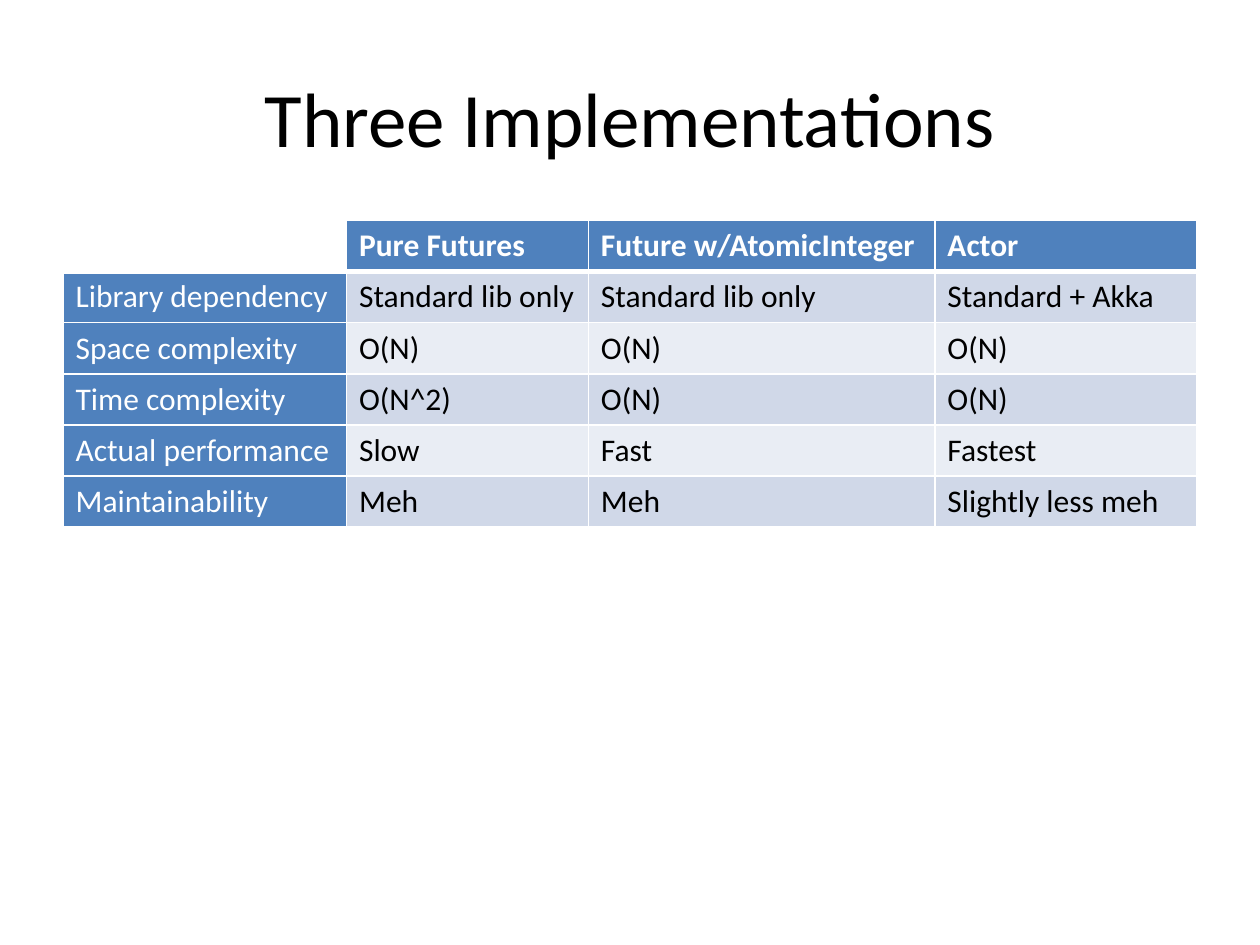
from dataclasses import dataclass

from lxml import etree
from pptx import Presentation
from pptx.dml.color import RGBColor
from pptx.enum import text
from pptx.oxml import ns
from pptx.util import Inches, Pt


@dataclass(frozen=True)
class Theme:
    """Colours, font and type sizes of the slide."""
    font: str = "Calibri"
    head: str = "4F81BD"
    bands: tuple = ("D0D8E8", "E9EDF4")
    dark: str = "000000"
    light: str = "FFFFFF"
    title: int = 44
    body: int = 18
    thin: int = 1
    thick: int = 3


THEME = Theme()
WIDTHS = (2.25, 1.92, 2.75, 2.08)
ROWS = (
    ("", "Pure Futures", "Future w/AtomicInteger", "Actor"),
    ("Library dependency", "Standard lib only", "Standard lib only", "Standard + Akka"),
    ("Space complexity", "O(N)", "O(N)", "O(N)"),
    ("Time complexity", "O(N^2)", "O(N)", "O(N)"),
    ("Actual performance", "Slow", "Fast", "Fastest"),
    ("Maintainability", "Meh", "Meh", "Slightly less meh"),
)


def style(para, size, color, bold=False):
    """Format the font of a paragraph's runs."""
    look = {"name": THEME.font, "size": Pt(size), "bold": bold}
    for run in para.runs:
        for key, value in look.items():
            setattr(run.font, key, value)
        run.font.color.rgb = RGBColor.from_string(color)


def edge(cell, side, width):
    """Draw one border of a cell."""
    props = cell._tc.get_or_add_tcPr()
    line = etree.SubElement(props, ns.qn(f"a:ln{side}"), w=str(Pt(width)))
    fill = etree.SubElement(line, ns.qn("a:solidFill"))
    etree.SubElement(fill, ns.qn("a:srgbClr"), val=THEME.light)


def paint(cell, row, col):
    """Give a cell its borders, fill and font by its place in the grid."""
    heavy = {0: "B", 1: "T"}.get(row)
    for side in "LRTB":
        edge(cell, side, THEME.thick if side == heavy else THEME.thin)
    label = row == 0 or col == 0
    if row == col == 0:
        cell.fill.background()
    else:
        tint = THEME.head if label else THEME.bands[(row - 1) % 2]
        cell.fill.solid()
        cell.fill.fore_color.rgb = RGBColor.from_string(tint)
    color = THEME.light if label else THEME.dark
    style(cell.text_frame.paragraphs[0], THEME.body, color, row == 0)


def add_title(slide, box, words):
    """Place and format the title in its box."""
    title = slide.shapes.title
    for key, value in zip(("left", "top", "width", "height"), box):
        setattr(title, key, Inches(value))
    frame = title.text_frame
    frame.text = words
    frame.vertical_anchor = text.MSO_ANCHOR.MIDDLE
    para = frame.paragraphs[0]
    para.alignment = text.PP_ALIGN.CENTER
    style(para, THEME.title, THEME.dark)


def add_grid(slide, box, rows, widths):
    """Build the comparison table in its box."""
    left, top, width, height = map(Inches, box)
    table = slide.shapes.add_table(
        len(rows), len(widths), left, top, width, height).table
    for col, share in zip(table.columns, widths):
        col.width = int(width * share / sum(widths))
    for r, row in enumerate(rows):
        for c, words in enumerate(row):
            cell = table.cell(r, c)
            cell.text = words
            paint(cell, r, c)


def main():
    """Build and save the slide."""
    deck = Presentation()
    deck.slide_width, deck.slide_height = Inches(10), Inches(7.5)
    slide = deck.slides.add_slide(deck.slide_layouts.get_by_name("Title Only"))
    add_title(slide, (0.5, 0.3, 9, 1.25), "Three Implementations")
    add_grid(slide, (0.5, 1.75, 9, 2.43), ROWS, WIDTHS)
    deck.save("out.pptx")


if __name__ == "__main__":
    main()
